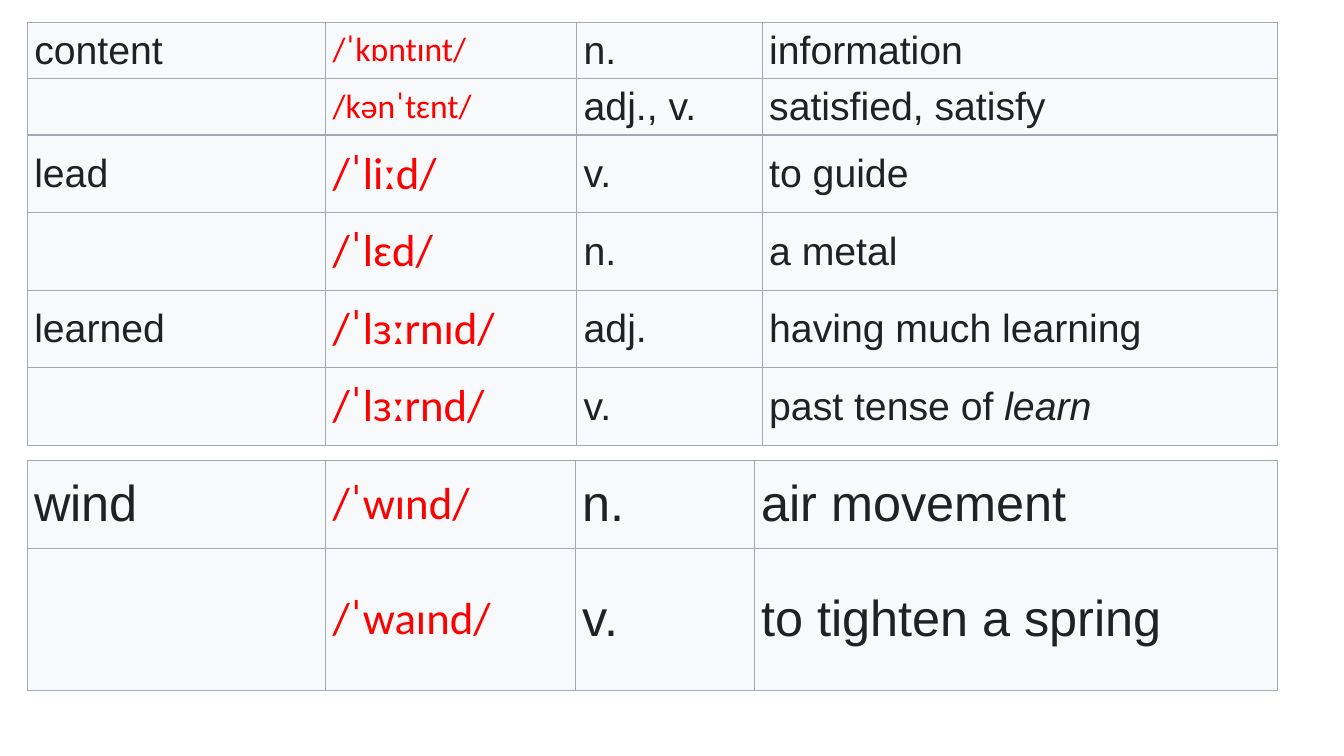
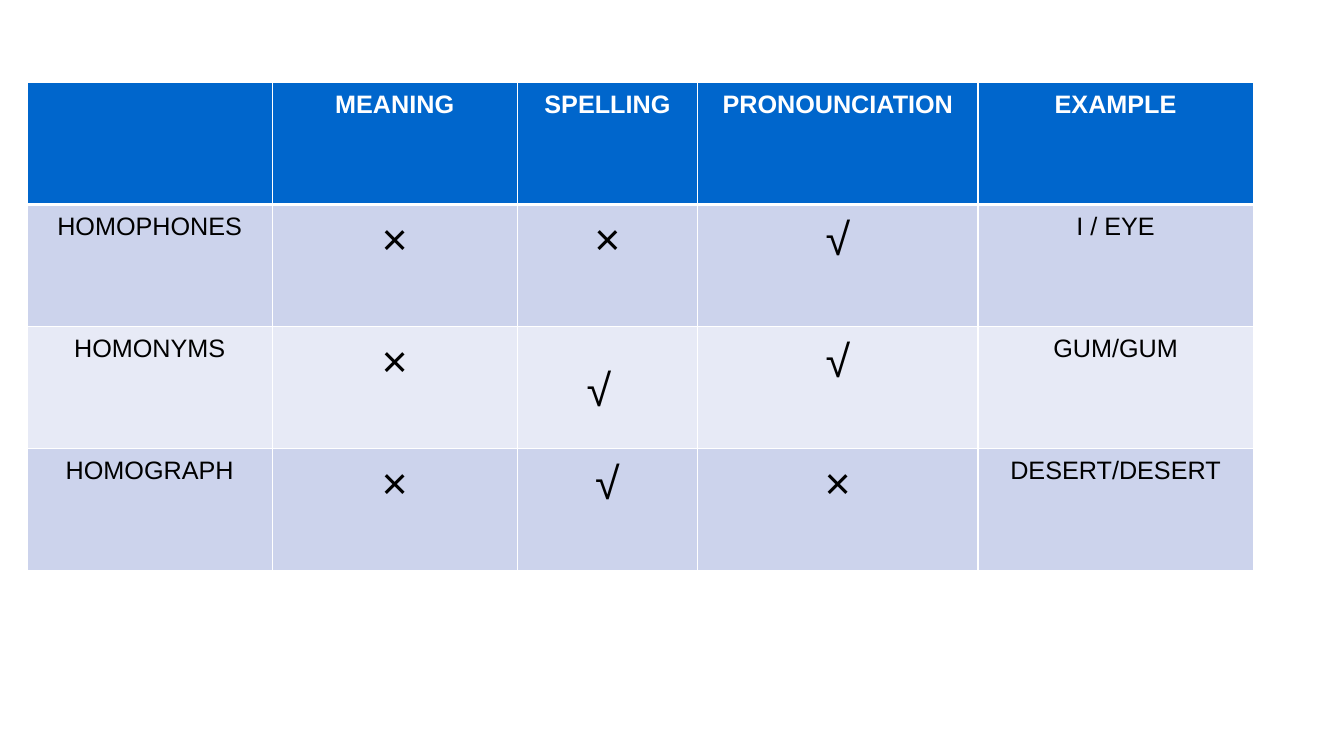
"""Build two slides of tables on homographs, homophones and homonyms."""
from collections.abc import Callable
from dataclasses import dataclass

from lxml import etree
from pptx import Presentation
from pptx.dml.color import RGBColor
from pptx.enum.text import MSO_ANCHOR, PP_ALIGN
from pptx.oxml.ns import qn
from pptx.util import Inches, Pt

CENTER, LEFT = PP_ALIGN.CENTER, PP_ALIGN.LEFT
MIDDLE, TOP = MSO_ANCHOR.MIDDLE, MSO_ANCHOR.TOP


@dataclass(frozen=True)
class Theme:
    ink: str = "202122"
    phonetic: str = "FF0000"
    paper: str = "F8F9FA"
    rule: str = "A2A9B1"
    header: str = "0066CC"
    band_dark: str = "CCD3EC"
    band_light: str = "E7EAF6"
    white: str = "FFFFFF"
    black: str = "000000"
    body_font: str = "Arial"
    phonetic_font: str = "Calibri"
    label_size: int = 18
    small_phonetic_size: int = 24
    word_size: int = 28
    large_size: int = 32
    wind_size: int = 36


THEME = Theme()


@dataclass(frozen=True)
class CellStyle:
    size: int
    color: str
    fill: str
    rule: str
    font: str = THEME.body_font
    bold: bool = False
    align: PP_ALIGN = LEFT
    anchor: MSO_ANCHOR = TOP
    spacing: float = 1.0
    margins: tuple[float, float] = (0.1, 0.05)
    top_rule: float = 1
    bottom_rule: float = 1


@dataclass(frozen=True)
class Grid:
    top: float
    columns: tuple[float, ...]
    heights: tuple[float, ...]
    rows: tuple[tuple[str, ...], ...]
    style: Callable[[int, int, str], CellStyle]
    left: float = 0.27


def word_style(size: int, small_rows: int = 0) -> Callable[[int, int, str], CellStyle]:
    """Return the rule for word tables, whose second column is phonetic."""
    def style(row: int, column: int, text: str) -> CellStyle:
        shared = {"fill": THEME.paper, "rule": THEME.rule, "anchor": MIDDLE,
                  "margins": (0.07, 0.03)}
        if column == 1:
            phonetic_size = THEME.small_phonetic_size if row < small_rows else THEME.large_size
            return CellStyle(phonetic_size, THEME.phonetic, font=THEME.phonetic_font, **shared)
        return CellStyle(size, THEME.ink, **shared)
    return style


def comparison_style(row: int, column: int, text: str) -> CellStyle:
    """Return the rule for the banded comparison table."""
    shared = {"rule": THEME.white, "align": CENTER, "spacing": 1.1}
    if row == 0:
        return CellStyle(THEME.label_size, THEME.white, THEME.header, bold=True,
                         bottom_rule=3, **shared)
    size = THEME.large_size if text in ("×", "√") else THEME.label_size
    band = THEME.band_dark if row % 2 else THEME.band_light
    return CellStyle(size, THEME.black, band, top_rule=3 if row == 1 else 1, **shared)


WORDS = Grid(
    0.22, (2.96, 2.49, 1.84, 5.11), (0.56,) * 2 + (0.77,) * 4,
    (("content", "/ˈkɒntɪnt/", "n.", "information"),
     ("", "/kənˈtɛnt/", "adj., v.", "satisfied, satisfy"),
     ("lead", "/ˈliːd/", "v.", "to guide"),
     ("", "/ˈlɛd/", "n.", "a metal"),
     ("learned", "/ˈlɜːrnɪd/", "adj.", "having much learning"),
     ("", "/ˈlɜːrnd/", "v.", "past tense of *learn*")),
    word_style(THEME.word_size, small_rows=2))
WIND = Grid(
    4.57, (2.96, 2.48, 1.77, 5.19), (0.87, 1.41),
    (("wind", "/ˈwɪnd/", "n.", "air movement"),
     ("", "/ˈwaɪnd/", "v.", "to tighten a spring")),
    word_style(THEME.wind_size))
COMPARISON = Grid(
    0.82, (2.43, 2.43, 1.79, 2.78, 2.73), (1.21,) * 4,
    (("", "MEANING", "SPELLING", "PRONOUNCIATION", "EXAMPLE"),
     ("HOMOPHONES", "×", "×", "√", "I / EYE"),
     ("HOMONYMS", "×", "", "√", "GUM/GUM"),
     ("HOMOGRAPH", "×", "√", "×", "DESERT/DESERT")),
    comparison_style)


def add_run(paragraph, text: str, color: str, **formats) -> None:
    """Add a run with the given font formats."""
    run = paragraph.add_run()
    run.text = text
    for attribute, value in formats.items():
        setattr(run.font, attribute, value)
    run.font.color.rgb = RGBColor.from_string(color)


def draw_borders(cell, style: CellStyle) -> None:
    """Draw the four borders of a cell."""
    properties = cell._tc.get_or_add_tcPr()
    widths = {"a:lnL": 1, "a:lnR": 1, "a:lnT": style.top_rule, "a:lnB": style.bottom_rule}
    for side, width in widths.items():
        line = etree.SubElement(properties, qn(side), w=str(Pt(width)))
        fill = etree.SubElement(line, qn("a:solidFill"))
        etree.SubElement(fill, qn("a:srgbClr"), val=style.rule)


def fill_cell(cell, text: str, style: CellStyle) -> None:
    """Format a cell and write its text, with starred words in italics."""
    draw_borders(cell, style)
    cell.fill.solid()
    cell.fill.fore_color.rgb = RGBColor.from_string(style.fill)
    side, edge = map(Inches, style.margins)
    formats = {"margin_left": side, "margin_right": side, "margin_top": edge,
               "margin_bottom": edge, "vertical_anchor": style.anchor}
    for attribute, value in formats.items():
        setattr(cell, attribute, value)
    paragraph = cell.text_frame.paragraphs[0]
    paragraph.alignment = style.align
    paragraph.line_spacing = style.spacing
    for index, part in enumerate(text.split("*")):
        if part:
            add_run(paragraph, part, style.color, name=style.font, size=Pt(style.size),
                    bold=style.bold, italic=index % 2 == 1)


def draw_grid(slide, grid: Grid) -> None:
    """Draw a grid as a table."""
    table = slide.shapes.add_table(
        len(grid.heights), len(grid.columns), Inches(grid.left), Inches(grid.top),
        Inches(sum(grid.columns)), Inches(sum(grid.heights))).table
    table.first_row = table.horz_banding = False
    for column, width in zip(table.columns, grid.columns):
        column.width = Inches(width)
    for row, height in zip(table.rows, grid.heights):
        row.height = Inches(height)
    for row_index, texts in enumerate(grid.rows):
        for column_index, text in enumerate(texts):
            fill_cell(table.cell(row_index, column_index), text,
                      grid.style(row_index, column_index, text))


def draw_check(slide, left: float, top: float) -> None:
    """Draw a free-standing check sign."""
    frame = slide.shapes.add_textbox(Inches(left), Inches(top), Inches(1), Inches(0.64)).text_frame
    frame.word_wrap = True
    add_run(frame.paragraphs[0], "√", THEME.black, name=THEME.body_font,
            size=Pt(THEME.large_size))


def main() -> None:
    """Build and save the presentation."""
    deck = Presentation()
    deck.slide_width, deck.slide_height = Inches(13.33), Inches(7.5)
    blank = deck.slide_layouts[6]
    for grids in ((WORDS, WIND), (COMPARISON,)):
        slide = deck.slides.add_slide(blank)
        for grid in grids:
            draw_grid(slide, grid)
    draw_check(slide, 5.72, 3.54)
    deck.save("out.pptx")


if __name__ == "__main__":
    main()
